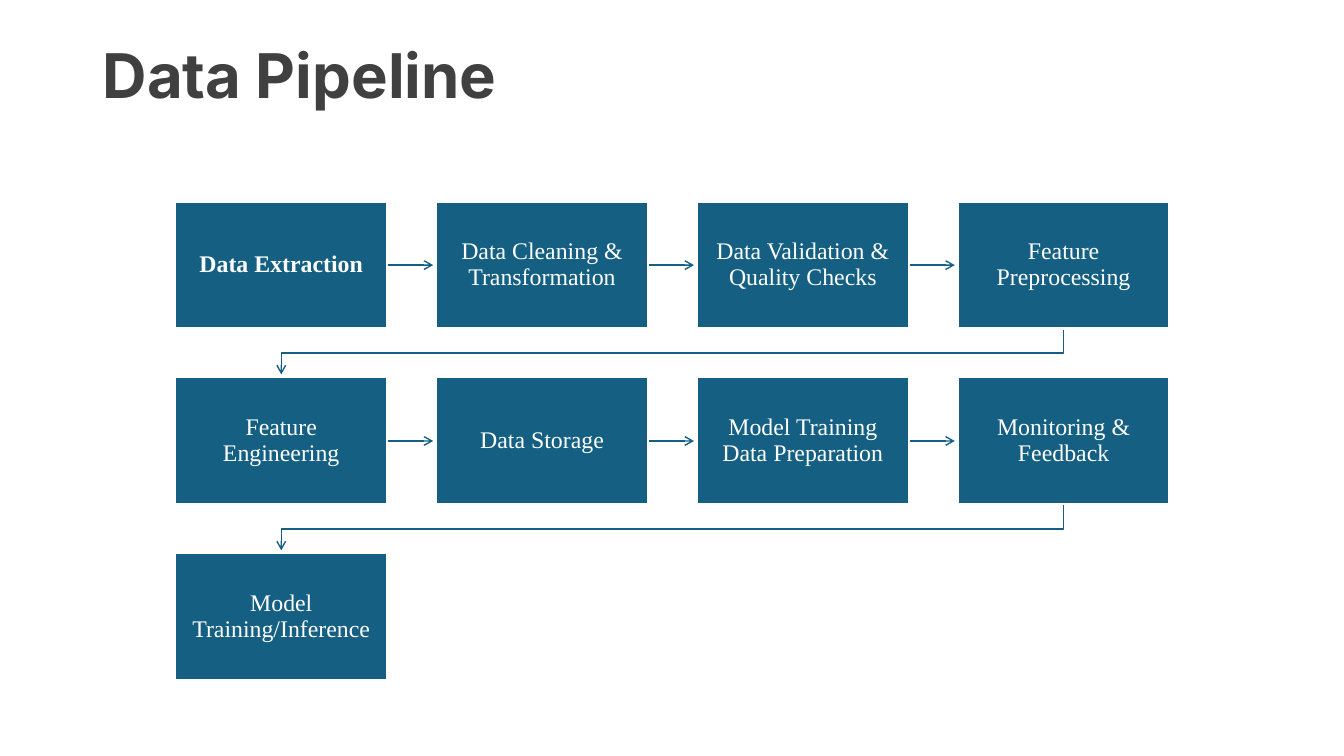
from lxml.etree import SubElement
from pptx import Presentation
from pptx.dml.color import RGBColor
from pptx.enum.shapes import MSO_CONNECTOR, MSO_SHAPE
from pptx.enum.text import MSO_ANCHOR, PP_ALIGN
from pptx.oxml.ns import qn
from pptx.util import Inches, Pt

TITLE = "Data Pipeline"
STEPS = [
    "Data Extraction",
    "Data Cleaning & Transformation",
    "Data Validation & Quality Checks",
    "Feature Preprocessing",
    "Feature Engineering",
    "Data Storage",
    "Model Training Data Preparation",
    "Monitoring & Feedback",
    "Model Training/Inference",
]

BLUE = RGBColor(0x15, 0x60, 0x82)
WHITE = RGBColor(0xFF, 0xFF, 0xFF)
GRAY = RGBColor(0x40, 0x40, 0x40)

COLUMNS = 4
LEFT, TOP = 1.74, 2.0
BOX_WIDTH, BOX_HEIGHT = 2.1, 1.26
COLUMN_STEP = (9.5 - LEFT) / (COLUMNS - 1)
ROW_STEP = 1.745
ARROW_GAP = 0.03

TITLE_FONT = {"name": "Inter", "size": Pt(44), "bold": True}
STEP_FONT = {"name": "Times New Roman", "size": Pt(17)}


def position(index):
    row, column = divmod(index, COLUMNS)
    return LEFT + column * COLUMN_STEP, TOP + row * ROW_STEP


def write(shape, text, font, color, alignment, anchor, inset):
    frame = shape.text_frame
    frame.word_wrap = True
    frame.vertical_anchor = anchor
    for side in ("left", "right", "top", "bottom"):
        setattr(frame, f"margin_{side}", Inches(inset[side in ("top", "bottom")]))
    paragraph = frame.paragraphs[0]
    paragraph.alignment = alignment
    paragraph.line_spacing = 0.9
    run = paragraph.add_run()
    run.text = text
    for name, value in font.items():
        setattr(run.font, name, value)
    run.font.color.rgb = color


def style_arrow(arrow):
    arrow.line.color.rgb = BLUE
    arrow.line.width = Pt(1)
    SubElement(arrow.line._get_or_add_ln(), qn("a:tailEnd"), type="arrow")


def add_straight_arrow(shapes, index):
    left, top = position(index)
    next_left, _ = position(index + 1)
    middle = Inches(top + BOX_HEIGHT / 2)
    arrow = shapes.add_connector(
        MSO_CONNECTOR.STRAIGHT,
        Inches(left + BOX_WIDTH), middle, Inches(next_left - ARROW_GAP), middle)
    style_arrow(arrow)
    SubElement(arrow._element.spPr, qn("a:effectLst"))
    return arrow


def add_return_arrow(shapes, index):
    """Lead from the last box of a row to the first box of the next."""
    left, top = position(index)
    next_left, next_top = position(index + 1)
    start_x, end_x = left + BOX_WIDTH / 2, next_left + BOX_WIDTH / 2
    bottom = top + BOX_HEIGHT
    turn = (bottom + next_top) / 2
    points = [(start_x, turn), (end_x, turn), (end_x, next_top - ARROW_GAP)]
    builder = shapes.build_freeform(Inches(start_x), Inches(bottom))
    builder.add_line_segments([(Inches(x), Inches(y)) for x, y in points], close=False)
    arrow = builder.convert_to_shape()
    arrow.fill.background()
    arrow.shadow.inherit = False
    style_arrow(arrow)


def add_box(shapes, index, text):
    left, top = position(index)
    box = shapes.add_shape(
        MSO_SHAPE.RECTANGLE,
        Inches(left), Inches(top), Inches(BOX_WIDTH), Inches(BOX_HEIGHT))
    box.shadow.inherit = False
    box.fill.solid()
    box.fill.fore_color.rgb = BLUE
    box.line.color.rgb = WHITE
    box.line.width = Pt(1.5)
    write(box, text, {**STEP_FONT, "bold": index == 0}, WHITE,
          PP_ALIGN.CENTER, MSO_ANCHOR.MIDDLE, (0.13, 0.13))
    return box


def main():
    presentation = Presentation()
    presentation.slide_width = Inches(13.33)
    presentation.slide_height = Inches(7.5)
    slide = presentation.slides.add_slide(presentation.slide_layouts[6])
    shapes = slide.shapes

    title = shapes.add_textbox(Inches(0.92), Inches(0.4), Inches(11.5), Inches(1.45))
    write(title, TITLE, TITLE_FONT, GRAY, PP_ALIGN.LEFT, MSO_ANCHOR.TOP, (0.1, 0.05))

    for index, text in enumerate(STEPS):
        arrow = None
        if index + 1 < len(STEPS):
            if (index + 1) % COLUMNS:
                arrow = add_straight_arrow(shapes, index)
            else:
                add_return_arrow(shapes, index)
        box = add_box(shapes, index, text)
        if arrow is not None:
            arrow.begin_connect(box, 3)

    presentation.save("out.pptx")


if __name__ == "__main__":
    main()
